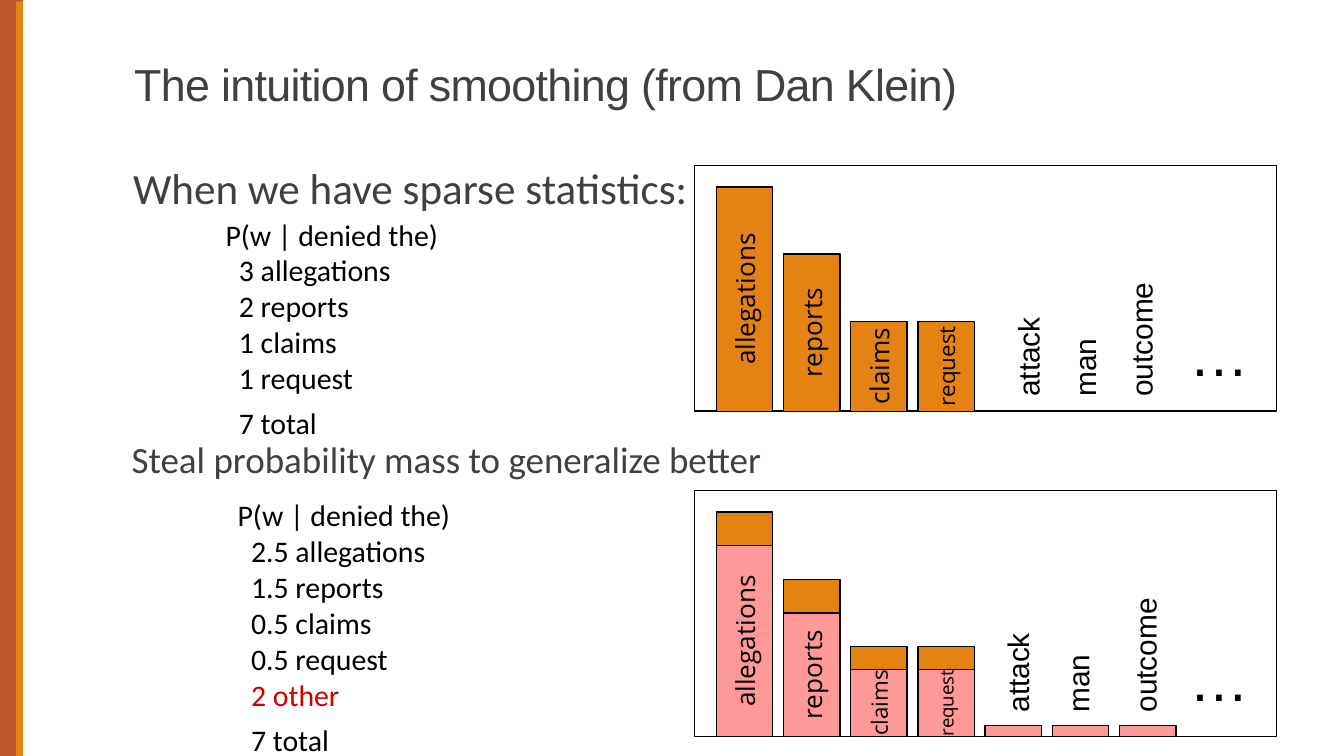
import pptx
import pptx.util
import pptx.dml.color
import pptx.enum.shapes
import pptx.enum.text
from dataclasses import dataclass

Inches = pptx.util.Inches
Pt = pptx.util.Pt


@dataclass(frozen=True)
class Theme:
    rust: str = "BD582C"
    orange: str = "E48312"
    pink: str = "FF9999"
    heading: str = "404040"
    black: str = "000000"
    red: str = "CC0000"
    title_font: str = "Arial"
    body_font: str = "Calibri"
    bar_font: str = "Open Sans"
    title_size: float = 24
    lead_size: float = 23.1
    second_size: float = 19.8
    count_size: float = 16
    word_size: float = 16
    dots_size: float = 32


THEME = Theme()
SLIDE_WIDTH = 10
SLIDE_HEIGHT = SLIDE_WIDTH * 9 / 16
BAR_WIDTH = 0.42
BAR_STEP = 0.5
FIRST_BAR = 5.33
FRAME_LEFT, FRAME_WIDTH, FRAME_HEIGHT = 5.17, 4.33, 1.83


def rgb(value):
    return pptx.dml.color.RGBColor.from_string(value)


def add_run(paragraph, text, size, font, color):
    run = paragraph.add_run()
    run.text = text
    run.font.size = Pt(size)
    run.font.name = font
    run.font.color.rgb = rgb(color)
    return run


def add_box(slide, left, top, width, height):
    box = slide.shapes.add_textbox(Inches(left), Inches(top), Inches(width), Inches(height))
    box.text_frame.word_wrap = True
    return box


def add_rect(slide, left, top, width, height, fill=None, outlined=True):
    rect = slide.shapes.add_shape(
        pptx.enum.shapes.MSO_SHAPE.RECTANGLE,
        Inches(left), Inches(top), Inches(width), Inches(height))
    rect.shadow.inherit = False
    if fill:
        rect.fill.solid()
        rect.fill.fore_color.rgb = rgb(fill)
    else:
        rect.fill.background()
    if outlined:
        rect.line.color.rgb = rgb(THEME.black)
        rect.line.width = Pt(0.75)
    else:
        rect.line.fill.background()
    return rect


def upright(left, bottom, width, height):
    """Unrotated place of a box that fills this area once turned by 270 degrees."""
    return (left + (width - height) / 2, bottom - (height + width) / 2, height, width)


def add_bar(slide, left, bottom, width, height, fill, outlined=True):
    bar = add_rect(slide, *upright(left, bottom, width, height), fill, outlined)
    bar.rotation = 270
    return bar


def add_word_bar(slide, column, bottom, height, fill, word=None, size=None):
    bar = add_bar(slide, FIRST_BAR + column * BAR_STEP, bottom, BAR_WIDTH, height, fill)
    if word:
        frame = bar.text_frame
        frame.word_wrap = False
        frame.vertical_anchor = pptx.enum.text.MSO_ANCHOR.MIDDLE
        frame.paragraphs[0].alignment = pptx.enum.text.PP_ALIGN.CENTER
        add_run(frame.paragraphs[0], word, size, THEME.bar_font, THEME.black)


def add_unseen_words(slide, centers, bottom, dots_top):
    for word, center in zip(("attack", "man", "outcome"), centers):
        label = add_box(slide, *upright(center - 0.37 / 2, bottom, 0.37, 1.25))
        label.rotation = 270
        add_run(label.text_frame.paragraphs[0], word, THEME.word_size,
                THEME.title_font, THEME.black)
    dots = add_box(slide, 8.75, dots_top, 0.58, 0.63)
    add_run(dots.text_frame.paragraphs[0], "…", THEME.dots_size,
            THEME.title_font, THEME.black)


def add_title(slide, text):
    title = add_box(slide, 0.9, 0.13, 8.25, 0.74)
    title.text_frame.vertical_anchor = pptx.enum.text.MSO_ANCHOR.BOTTOM
    paragraph = title.text_frame.paragraphs[0]
    paragraph.line_spacing = 0.85
    run = add_run(paragraph, text, THEME.title_size, THEME.title_font, THEME.heading)
    run.font._element.set("spc", "-38")


def add_statement(slide, text, left, top, size):
    frame = add_box(slide, left, top, 8.17, 0.4).text_frame
    frame.margin_left = frame.margin_right = frame.margin_top = frame.margin_bottom = 0
    add_run(frame.paragraphs[0], text, size, THEME.body_font, THEME.heading)


def add_counts(slide, left, top, height, counts):
    """List the counts indented under the probability, with the total set apart."""
    frame = add_box(slide, left, top, 2.67, height).text_frame
    add_run(frame.paragraphs[0], "P(w | denied the)", THEME.count_size,
            THEME.body_font, THEME.black)
    for count in (*counts, "7 total"):
        paragraph = frame.add_paragraph()
        paragraph._p.get_or_add_pPr().set("marL", str(Inches(0.1)))
        if count.endswith("total"):
            paragraph.space_before = Pt(5)
        color = THEME.red if count.endswith("other") else THEME.black
        add_run(paragraph, count, THEME.count_size, THEME.body_font, color)


def add_frame(slide, top):
    """Draw the frame of a bar diagram and return its base line."""
    add_rect(slide, FRAME_LEFT, top, FRAME_WIDTH, FRAME_HEIGHT)
    return top + FRAME_HEIGHT


def main():
    deck = pptx.Presentation()
    deck.slide_width, deck.slide_height = Inches(SLIDE_WIDTH), Inches(SLIDE_HEIGHT)
    slide = deck.slides.add_slide(deck.slide_layouts[6])

    add_bar(slide, -0.04, SLIDE_HEIGHT, 0.21, SLIDE_HEIGHT, THEME.rust, outlined=False)
    add_bar(slide, 0.12, SLIDE_HEIGHT + 0.01, 0.05, SLIDE_HEIGHT, THEME.orange,
            outlined=False)
    add_title(slide, "The intuition of smoothing (from Dan Klein)")
    add_statement(slide, "When we have sparse statistics:", 0.99, 1.2, THEME.lead_size)
    add_statement(slide, "Steal probability mass to generalize better", 0.98, 3.25,
                  THEME.second_size)
    add_counts(slide, 1.58, 1.56, 1.78,
               ("3 allegations", "2 reports", "1 claims", "1 request"))
    add_counts(slide, 1.67, 3.65, 2.05,
               ("2.5 allegations", "1.5 reports", "0.5 claims", "0.5 request", "2 other"))

    # word, full height and text size, smoothed height and text size
    seen_words = (
        ("allegations", 1.67, 14, 1.42, 14),
        ("reports", 1.17, 14, 0.92, 14),
        ("claims", 0.67, 14, 0.5, 12),
        ("request", 0.67, 12, 0.5, 10),
    )
    base = add_frame(slide, 1.23)
    for column, (word, full, size, _, _) in enumerate(seen_words):
        add_word_bar(slide, column, base, full, THEME.orange, word, size)
    add_unseen_words(slide, (7.65, 8.07, 8.49), 3.05, 2.31)

    base = add_frame(slide, 3.65)
    for column, (word, full, _, smoothed, size) in enumerate(seen_words):
        add_word_bar(slide, column, base, full, THEME.orange)
        add_word_bar(slide, column, base, smoothed, THEME.pink, word, size)
    for column in range(4, 7):
        add_word_bar(slide, column, base, 0.08, THEME.pink)
    add_unseen_words(slide, (7.57, 8.02, 8.52), 5.4, 4.73)

    deck.save("out.pptx")


if __name__ == "__main__":
    main()
